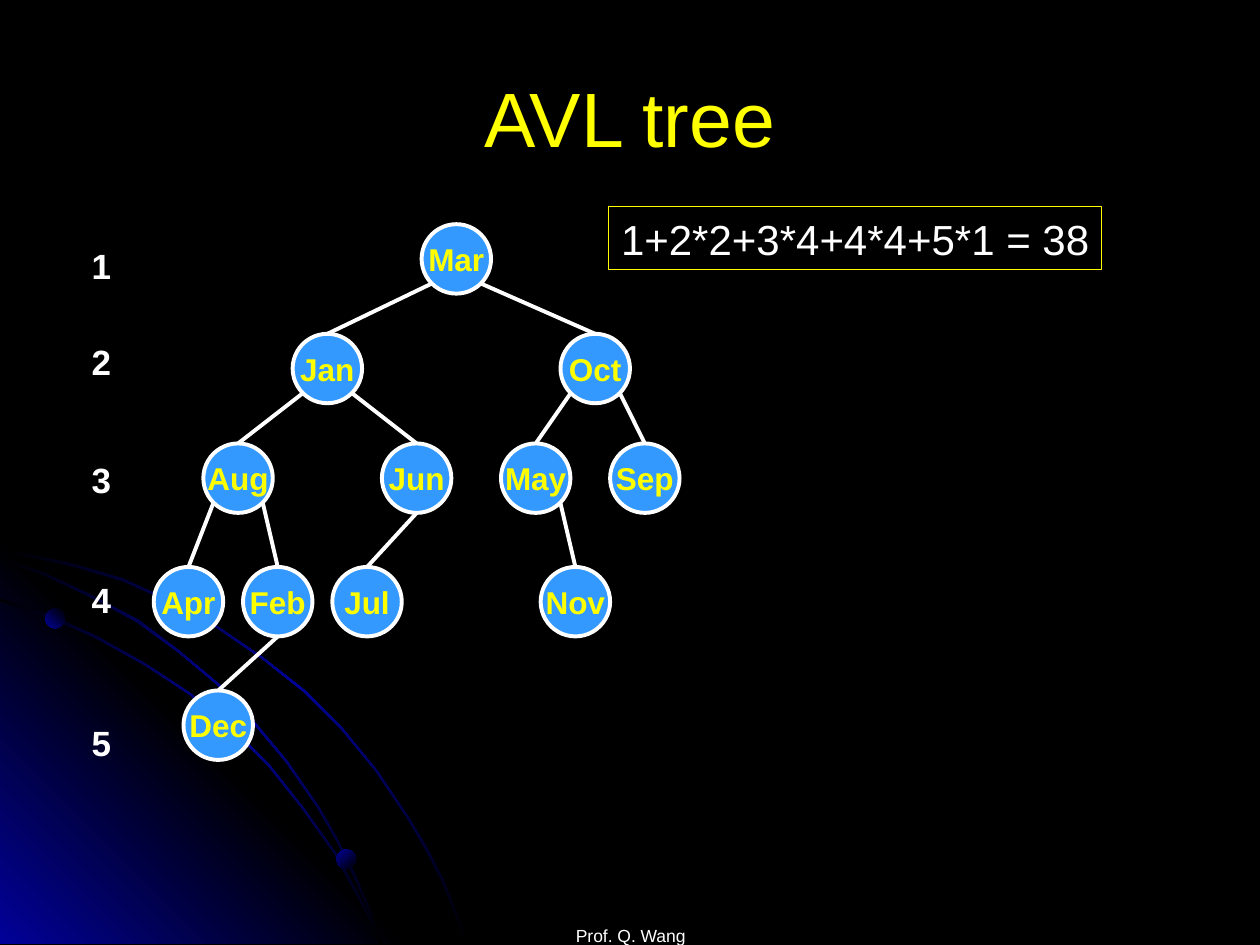
from lxml import etree
from pptx import Presentation
from pptx.dml.color import RGBColor
from pptx.enum.shapes import MSO_CONNECTOR, MSO_SHAPE
from pptx.enum.text import MSO_ANCHOR, PP_ALIGN
from pptx.oxml.ns import qn
from pptx.util import Cm, Pt

BLACK = RGBColor(0x00, 0x00, 0x00)
WHITE = RGBColor(0xFF, 0xFF, 0xFF)
YELLOW = RGBColor(0xFF, 0xFF, 0x00)
NODE_BLUE = RGBColor(0x33, 0x99, 0xFF)
DEEP_BLUE = RGBColor(0x01, 0x01, 0x99)
OVAL, RECTANGLE = MSO_SHAPE.OVAL, MSO_SHAPE.RECTANGLE
STRAIGHT = MSO_CONNECTOR.STRAIGHT
LEFT, CENTER = PP_ALIGN.LEFT, PP_ALIGN.CENTER
TOP, MIDDLE, BOTTOM = MSO_ANCHOR.TOP, MSO_ANCHOR.MIDDLE, MSO_ANCHOR.BOTTOM


def paint_gradient(shape, colors, angle):
    """Spread colors evenly along a clockwise angle, without outline or shadow."""
    shape.shadow.inherit = False
    shape.line.fill.background()
    shape.fill.gradient()
    shape.fill.gradient_angle = 360 - angle
    stops = shape._element.spPr.find(".//" + qn("a:gsLst"))
    stops.clear()
    for i, color in enumerate(colors):
        position = 100000 * i // (len(colors) - 1)
        stop = etree.SubElement(stops, qn("a:gs"), pos=str(position))
        etree.SubElement(stop, qn("a:srgbClr"), val=str(color))


def write(shape, text, size, color, align=CENTER, anchor=MIDDLE, bold=False, wrap=False):
    frame = shape.text_frame
    frame.word_wrap = wrap
    frame.vertical_anchor = anchor
    paragraph = frame.paragraphs[0]
    paragraph.alignment = align
    run = paragraph.add_run()
    run.text = text
    run.font.name = "Arial"
    run.font.size = Pt(size)
    run.font.bold = bold
    run.font.color.rgb = color


prs = Presentation()
prs.slide_width, prs.slide_height = Cm(25.4), Cm(19.05)
slide = prs.slides.add_slide(prs.slide_layouts[6])
slide.background.fill.solid()
slide.background.fill.fore_color.rgb = BLACK
shapes = slide.shapes

# Corner decoration: inner edges of the orbits, in hundredths of an inch
ORBIT_UNIT = Cm(0.0254)
outer_orbit = [(0, 438), (28, 443), (56, 449), (97, 461), (135, 478), (173, 499),
               (208, 523), (241, 549), (271, 579), (298, 612), (323, 649),
               (337, 673), (350, 698), (360, 723), (370, 749)]
inner_orbit = [(0, 477), (39, 490), (77, 507), (115, 528), (150, 551), (183, 578),
               (213, 608), (240, 642), (265, 677), (285, 714), (294, 732), (301, 749)]
middle_orbit = [(0, 444), (36, 457), (74, 475), (109, 494), (142, 518), (173, 544),
                (202, 575), (227, 605), (252, 641), (267, 667), (280, 694),
                (292, 722), (301, 749)]
corner = [(0, 427), (322, 749), (0, 749)]

outlines = []
for orbit in (outer_orbit, None, inner_orbit, middle_orbit):
    if orbit is None:
        outlines.append((corner, (DEEP_BLUE, BLACK, DEEP_BLUE), 315))
        continue
    # The band is two units wide: upwards at its start, sideways at its end
    last = len(orbit) - 1
    far_edge = [(x + 2 * i / last, y - 2 * (1 - i / last))
                for i, (x, y) in enumerate(orbit)]
    outlines.append((orbit + far_edge[::-1], (BLACK, DEEP_BLUE, BLACK), 45))

for points, colors, angle in outlines:
    builder = shapes.build_freeform(*points[0], scale=ORBIT_UNIT)
    builder.add_line_segments(points[1:], close=True)
    paint_gradient(builder.convert_to_shape(), colors, angle)

for left, top, angle in [(0.91, 12.27, 315), (6.78, 17.12, 45)]:
    planet = shapes.add_shape(OVAL, Cm(left), Cm(top), Cm(0.4), Cm(0.4))
    paint_gradient(planet, (DEEP_BLUE, BLACK), angle)

footer = shapes.add_textbox(Cm(8.69), Cm(17.81), Cm(8.05), Cm(1.27))
footer.text_frame.margin_bottom = 0
write(footer, "Prof. Q. Wang", 10, WHITE, anchor=BOTTOM, wrap=True)

# Tree: name, left edge, level, parent, side of the parent where the branch starts
DIAMETER = 1.4
LEVEL_TOPS = [4.52, 6.73, 8.94, 11.43, 13.92]
DIAGONAL = DIAMETER / 2 * 0.71
BRANCH_STARTS = {"left": (-DIAGONAL, DIAGONAL), "right": (DIAGONAL, DIAGONAL),
                 "bottom": (0, DIAMETER / 2)}
months = [
    ("Mar", 8.5, 1, None, None),
    ("Jan", 5.9, 2, "Mar", "left"),
    ("Oct", 11.3, 2, "Mar", "right"),
    ("Aug", 4.1, 3, "Jan", "left"),
    ("Jun", 7.7, 3, "Jan", "right"),
    ("May", 10.1, 3, "Oct", "left"),
    ("Sep", 12.3, 3, "Oct", "right"),
    ("Apr", 3.1, 4, "Aug", "left"),
    ("Feb", 4.9, 4, "Aug", "right"),
    ("Jul", 6.7, 4, "Jun", "bottom"),
    ("Nov", 10.9, 4, "May", "right"),
    ("Dec", 3.7, 5, "Feb", "bottom"),
]
centers = {}
for month, left, level, parent, side in months:
    top = LEVEL_TOPS[level - 1]
    centers[month] = (left + DIAMETER / 2, top + DIAMETER / 2)
    node = shapes.add_shape(OVAL, Cm(left), Cm(top), Cm(DIAMETER), Cm(DIAMETER))
    node.shadow.inherit = False
    node.fill.solid()
    node.fill.fore_color.rgb = NODE_BLUE
    node.line.color.rgb = WHITE
    node.line.width = Pt(2.25)
    write(node, month, 18, YELLOW, bold=True)
    if parent is None:
        continue
    parent_x, parent_y = centers[parent]
    dx, dy = BRANCH_STARTS[side]
    branch = shapes.add_connector(STRAIGHT, Cm(parent_x + dx), Cm(parent_y + dy),
                                  Cm(centers[month][0]), Cm(top))
    branch.end_connect(node, 0)
    branch.line.color.rgb = WHITE
    branch.line.width = Pt(2.25)
    etree.SubElement(branch._element.spPr, qn("a:effectLst"))

for level, top in enumerate([4.8, 6.73, 9.12, 11.53, 14.43], start=1):
    level_label = shapes.add_textbox(Cm(1.6), Cm(top), Cm(0.89), Cm(1.12))
    write(level_label, str(level), 20, WHITE, LEFT, TOP, bold=True)

cost = shapes.add_shape(RECTANGLE, Cm(12.27), Cm(4.17), Cm(9.93), Cm(1.27))
cost.shadow.inherit = False
cost.fill.background()
cost.line.color.rgb = YELLOW
cost.line.width = Pt(0.75)
write(cost, "1+2*2+3*4+4*4+5*1 = 38", 24, WHITE, LEFT, TOP)

title = shapes.add_textbox(Cm(1.27), Cm(0.76), Cm(22.86), Cm(3.18))
write(title, "AVL tree", 44, YELLOW, wrap=True)

prs.save("out.pptx")
